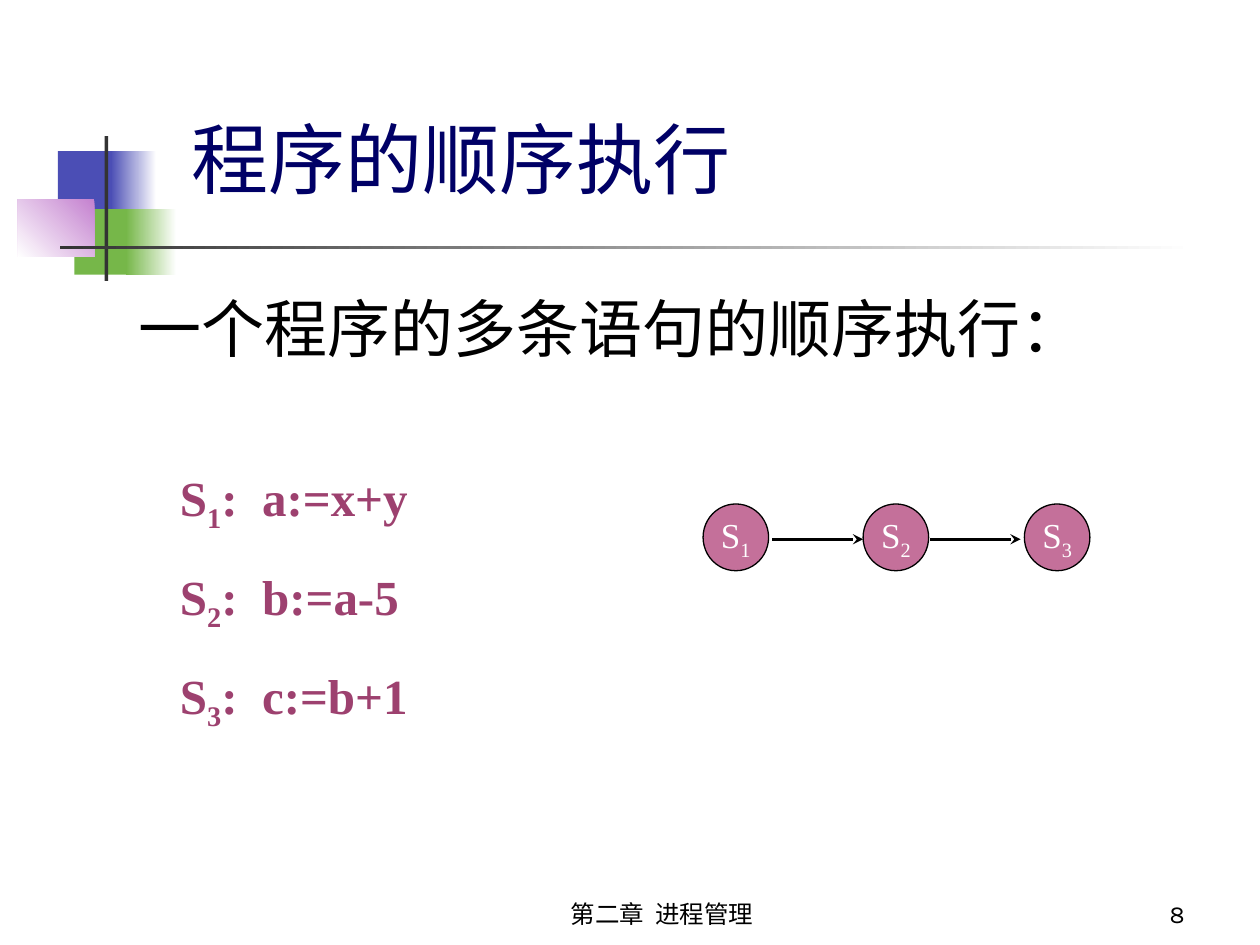
from lxml.etree import SubElement
from pptx import Presentation
from pptx.dml.color import RGBColor
from pptx.enum.shapes import MSO_CONNECTOR as Link, MSO_SHAPE as Form
from pptx.enum.text import MSO_ANCHOR as Anchor, PP_ALIGN as Align
from pptx.oxml.ns import qn
from pptx.util import Inches, Pt


def color(text):
    return RGBColor.from_string(text)


def write(shape, lines, form, anchor=Anchor.TOP, align=Align.LEFT, wrap=True, gap=0, lead=1):
    """Fill a shape with lines; every second part of a line is a subscript."""
    frame = shape.text_frame
    frame.word_wrap = wrap
    frame.vertical_anchor = anchor
    for i, parts in enumerate(lines):
        para = frame.add_paragraph() if i else frame.paragraphs[0]
        para.alignment = align
        para.line_spacing = lead
        para.space_before = Pt(gap if i else 0)
        for j, part in enumerate(parts):
            run = para.add_run()
            run.text = part
            for key, value in form.items():
                if key == "color":
                    run.font.color.rgb = color(value)
                else:
                    setattr(run.font, key, value)
            props = run._r.get_or_add_rPr()
            SubElement(props, qn("a:ea")).set("typeface", HAN)
            if j % 2:
                props.set("baseline", "-25000")


HAN, ROMAN = "Noto Sans CJK SC", "Times New Roman"
BLUE, GREEN, PINK, DARK, WHITE = "4B4EB5", "76B749", "C481CF", "333333", "FFFFFF"

deck = Presentation()
deck.slide_width, deck.slide_height = Inches(10), Inches(7.5)
slide = deck.slides.add_slide(deck.slide_layouts[6])
shapes = slide.shapes

# Corner ornament: box, colour stops, angle
blocks = [
    ((0.46, 1.2, 0.48, 0.52), [BLUE], 0),
    ((0.88, 1.2, 0.36, 0.52), [WHITE, BLUE], 180),
    ((0.59, 1.66, 0.46, 0.52), [GREEN], 0),
    ((1, 1.66, 0.4, 0.52), [WHITE, GREEN], 180),
    ((0.14, 1.58, 0.61, 0.46), [PINK, WHITE], 225),
    ((0.83, 1.08, 0.03, 1.15), [DARK], 0),
    ((0.48, 1.95, 9, 0.03), [WHITE, DARK], 180),
]
for box, tones, angle in blocks:
    block = shapes.add_shape(Form.RECTANGLE, *map(Inches, box))
    block.shadow.inherit = False
    block.line.fill.background()
    if len(tones) == 1:
        block.fill.solid()
        block.fill.fore_color.rgb = color(tones[0])
    else:
        block.fill.gradient()
        block.fill.gradient_angle = angle
        for stop, tone, place in zip(block.fill.gradient_stops, tones, (0, 1)):
            stop.color.rgb = color(tone)
            stop.position = place

# Title, lead sentence, footer and page number
texts = [
    ((1.42, 0.68, 8.36, 0.99), "程序的顺序执行", 44, HAN, "000066", Anchor.BOTTOM, Align.LEFT),
    ((1, 2.25, 8.33, 0.83), "一个程序的多条语句的顺序执行：", 36, HAN, "000000", Anchor.TOP, Align.LEFT),
    ((3.67, 6.92, 3.17, 0.5), "第二章  进程管理", 14, "Karla", "000000", Anchor.BOTTOM, Align.CENTER),
    ((7.42, 6.92, 2.08, 0.5), "8", 14, "Karla", "000000", Anchor.BOTTOM, Align.RIGHT),
]
for box, text, size, face, tone, anchor, align in texts:
    label = shapes.add_textbox(*map(Inches, box))
    write(label, [[text]], {"size": Pt(size), "name": face, "color": tone}, anchor, align)

# Program statements
code = ["a:=x+y", "b:=a-5", "c:=b+1"]
lines = [["S", str(n), ":  " + step] for n, step in enumerate(code, 1)]
label = shapes.add_textbox(Inches(1.33), Inches(3.5), Inches(2.58), Inches(2.37))
form = {"size": Pt(28), "name": ROMAN, "color": "9D416F", "bold": True}
write(label, lines, form, gap=7, lead=1.3)

# Statement nodes
form = {"size": Pt(20), "name": ROMAN, "color": WHITE}
for n, left in enumerate((5.58, 6.85, 8.13), 1):
    node = shapes.add_shape(Form.OVAL, Inches(left), Inches(4), Inches(0.52), Inches(0.53))
    node.shadow.inherit = False
    node.fill.solid()
    node.fill.fore_color.rgb = color("C4709A")
    node.line.color.rgb = color("000000")
    node.line.width = Pt(0.75)
    write(node, [["S", str(n)]], form, Anchor.MIDDLE, Align.CENTER, wrap=False)

# Arrows between the nodes
for left in (6.13, 7.38):
    arrow = shapes.add_connector(
        Link.STRAIGHT, Inches(left), Inches(4.28), Inches(left + 0.72), Inches(4.28))
    arrow.line.color.rgb = color("000000")
    arrow.line.width = Pt(1.5)
    SubElement(arrow.line._get_or_add_ln(), qn("a:tailEnd")).set("type", "stealth")
    SubElement(arrow._element.spPr, qn("a:effectLst"))

deck.save("out.pptx")
